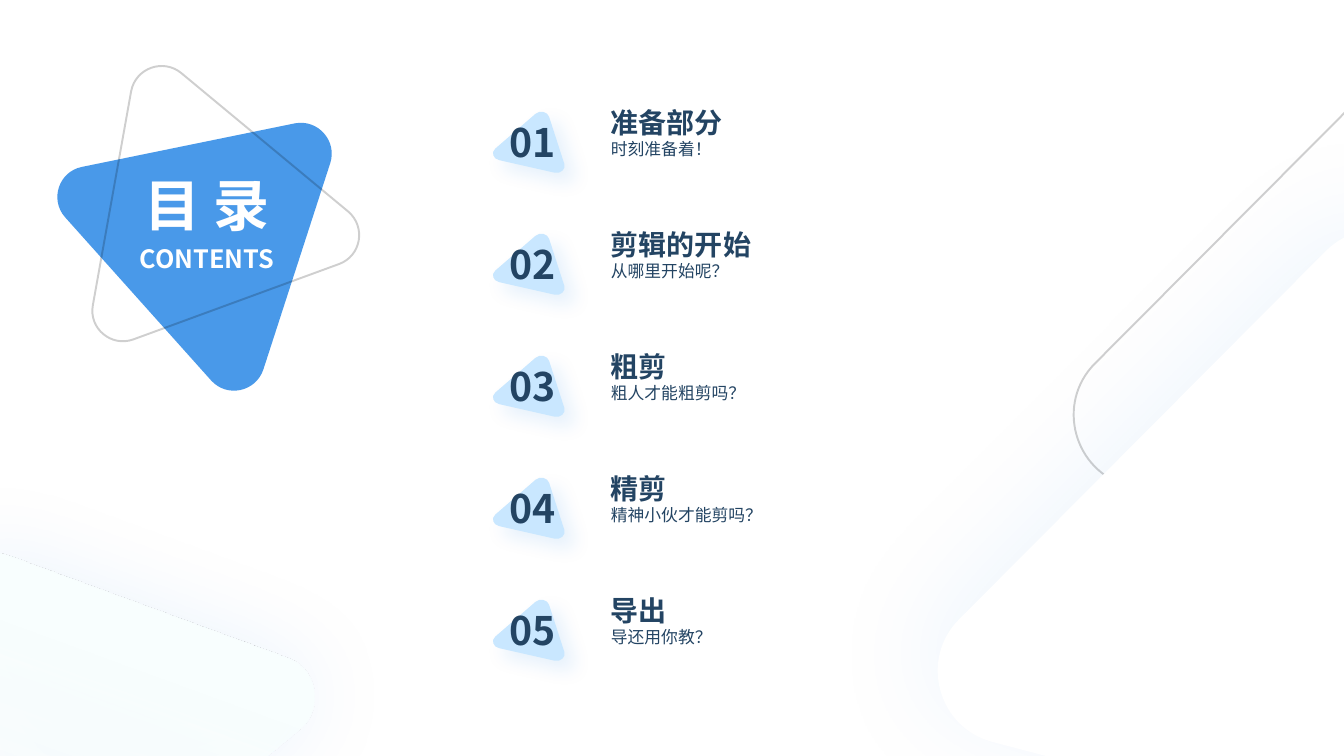
import dataclasses
import typing

import pptx
import pptx.dml.color
import pptx.enum.text
import pptx.oxml
import pptx.oxml.ns
import pptx.util

PX = 914400 / 100.8
HEAVY = "Noto Sans CJK SC"
LIGHT = "Cabin"
NAVY = "234463"
WHITE = "FFFFFF"
SKY = "C9E7FF"
BLUE = "177DE3"
ROW_TOP, ROW_PITCH = 101, 122

# Rounded triangle in a 1000 x 1000 box
TRIANGLE = [
    ("moveTo", [(776, 107)]),
    ("lnTo", [(979, 845)]),
    ("cubicBezTo", [(1000, 926), (928, 1000), (848, 979)]),
    ("lnTo", [(107, 783)]),
    ("cubicBezTo", [(28, 762), (0, 661), (59, 602)]),
    ("lnTo", [(596, 58)]),
    ("cubicBezTo", [(655, 0), (754, 27), (776, 107)]),
    ("close", []),
]


class Box(typing.NamedTuple):
    x: int
    y: int
    w: int
    h: int


class Shadow(typing.NamedTuple):
    alpha: int
    blur: int
    dist: int
    angle: int


@dataclasses.dataclass
class Triangle:
    """A triangle with a fill colour or gradient stops; without either it is outlined."""
    box: Box
    fill: str | None = None
    alpha: int = 100
    stops: list[tuple[float, str, int]] | None = None
    rotation: float = 0
    flipped: bool = False
    shadow: Shadow | None = None


class Chapter(typing.NamedTuple):
    title: str
    subtitle: str


CHAPTERS = [
    Chapter("准备部分", "时刻准备着！"),
    Chapter("剪辑的开始", "从哪里开始呢？"),
    Chapter("粗剪", "粗人才能粗剪吗？"),
    Chapter("精剪", "精神小伙才能剪吗？"),
    Chapter("导出", "导还用你教？"),
]

BACKDROP = [
    Triangle(Box(1055, -45, 684, 678)),
    Triangle(Box(919, 211, 684, 678), WHITE, shadow=Shadow(5, 76, 16, 225)),
    Triangle(Box(-82, 501, 391, 388), stops=[(0, WHITE, 0), (0.55, "F8FEFE", 100)],
             rotation=155, flipped=True, shadow=Shadow(7, 65, 3, 225)),
]

EMBLEM = [
    Triangle(Box(60, 71, 286, 283), BLUE, alpha=78, rotation=33.5),
    Triangle(Box(37, 68, 286, 283), rotation=325.2),
]


def px(n: float) -> int:
    return round(n * PX)


def rgb(colour: str) -> pptx.dml.color.RGBColor:
    return pptx.dml.color.RGBColor.from_string(colour)


def add_xml(parent, tag: str, **attributes):
    child = pptx.oxml.parse_xml(f'<a:{tag} {pptx.oxml.ns.nsdecls("a")}/>')
    for name, value in attributes.items():
        child.set(name, str(value))
    parent.append(child)
    return child


def set_alpha(parent, percent: int) -> None:
    for colour in parent.iter(pptx.oxml.ns.qn("a:srgbClr")):
        add_xml(colour, "alpha", val=percent * 1000)


def add_shadow(sp, shadow: Shadow) -> None:
    effects = sp._element.spPr.find(pptx.oxml.ns.qn("a:effectLst"))
    outer = add_xml(effects, "outerShdw", blurRad=pptx.util.Pt(shadow.blur),
                    dist=pptx.util.Pt(shadow.dist), dir=shadow.angle * 60000,
                    algn="ctr", rotWithShape=0)
    add_xml(outer, "srgbClr", val=BLUE)
    set_alpha(outer, shadow.alpha)


def paint(sp, triangle: Triangle) -> None:
    if triangle.stops:
        sp.fill.gradient()
        sp.fill.gradient_angle = 135
        for stop, (position, colour, alpha) in zip(sp.fill.gradient_stops, triangle.stops):
            stop.position = position
            stop.color.rgb = rgb(colour)
            set_alpha(stop._gs, alpha)
    elif triangle.fill:
        sp.fill.solid()
        sp.fill.fore_color.rgb = rgb(triangle.fill)
        if triangle.alpha < 100:
            set_alpha(sp._element.spPr, triangle.alpha)
    else:
        sp.fill.background()
        sp.line.color.rgb = rgb("000000")
        sp.line.width = pptx.util.Pt(1.38)
        set_alpha(sp.line._ln, 18)
        return
    sp.line.fill.background()


def add_triangle(shapes, triangle: Triangle) -> None:
    box = triangle.box
    builder = shapes.build_freeform(0, 0, scale=(box.w * PX / 1000, box.h * PX / 1000))
    builder.add_line_segments([(1000, 0), (1000, 1000), (0, 1000)])
    sp = builder.convert_to_shape(px(box.x), px(box.y))

    # The freeform builder draws straight edges only, so put the curves in its box
    outline = next(sp._element.iter(pptx.oxml.ns.qn("a:path")))
    for edge in list(outline):
        outline.remove(edge)
    for command, points in TRIANGLE:
        edge = add_xml(outline, command)
        for x, y in points:
            add_xml(edge, "pt", x=x, y=y)

    sp.rotation = triangle.rotation
    if triangle.flipped:
        sp._element.spPr.xfrm.set("flipV", "1")
    paint(sp, triangle)
    sp.shadow.inherit = False
    if triangle.shadow:
        add_shadow(sp, triangle.shadow)


def add_text(shapes, box: Box, text: str, *, size: int, colour: str = NAVY,
             font: str = HEAVY, bold: bool = True, centred: bool = False) -> None:
    sp = shapes.add_textbox(*map(px, box))
    tf = sp.text_frame
    tf.word_wrap = True
    tf.auto_size = pptx.enum.text.MSO_AUTO_SIZE.SHAPE_TO_FIT_TEXT
    p = tf.paragraphs[0]
    if centred:
        p.alignment = pptx.enum.text.PP_ALIGN.CENTER
    r = p.add_run()
    r.text = text
    r.font.size = pptx.util.Pt(size)
    r.font.bold = bold
    r.font.color.rgb = rgb(colour)
    r.font.name = font
    add_xml(r.font._element, "ea", typeface=HEAVY)


def add_chapter(shapes, index: int, chapter: Chapter) -> None:
    top = ROW_TOP + index * ROW_PITCH
    badge = shapes.add_group_shape().shapes
    add_triangle(badge, Triangle(Box(491, top + 9, 75, 64), SKY, shadow=Shadow(10, 13, 10, 45)))
    add_text(badge, Box(491, top + 12, 83, 57), f"{index + 1:02}", size=28, centred=True)
    add_text(shapes, Box(601, top, 280, 44), chapter.title, size=20)
    add_text(shapes, Box(601, top + 33, 416, 30), chapter.subtitle,
             size=12, font=LIGHT, bold=False)


def main() -> None:
    prs = pptx.Presentation()
    prs.slide_width, prs.slide_height = px(1344), px(756)
    shapes = prs.slides.add_slide(prs.slide_layouts[6]).shapes

    for triangle in BACKDROP:
        add_triangle(shapes, triangle)
    for index, chapter in enumerate(CHAPTERS):
        add_chapter(shapes, index, chapter)

    emblem = shapes.add_group_shape().shapes
    for triangle in EMBLEM:
        add_triangle(emblem, triangle)
    add_text(emblem, Box(110, 166, 194, 78), "目 录", size=40, colour=WHITE, centred=True)
    add_text(emblem, Box(110, 238, 194, 40), "CONTENTS", size=18, colour=WHITE, centred=True)

    prs.save("out.pptx")


if __name__ == "__main__":
    main()
